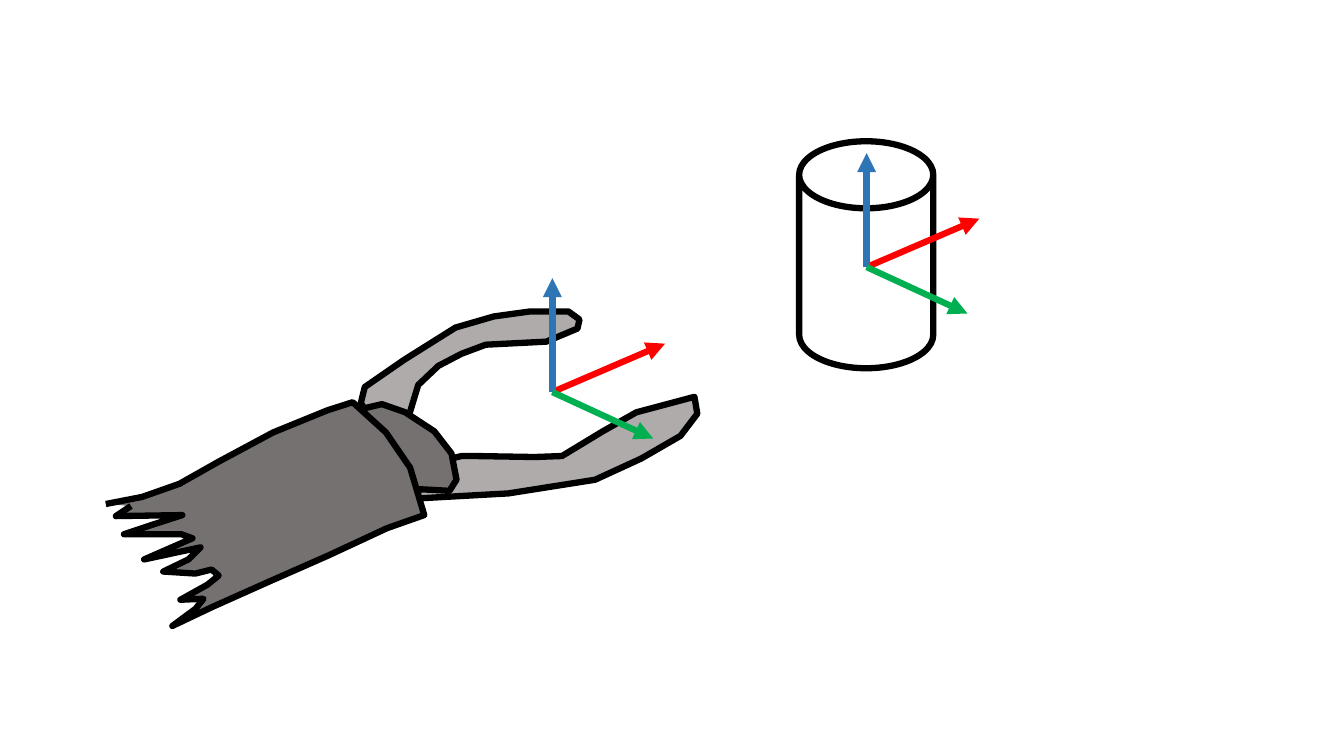
import pptx
import pptx.util
import pptx.dml.color
import pptx.enum.shapes
import pptx.oxml
import pptx.oxml.ns

Cm = pptx.util.Cm
COLORS = {
    "outline": "000000", "can": "FFFFFF", "finger": "AFABAB", "arm": "767171",
    "x": "FF0000", "y": "00B050", "z": "2E75B6",
}
LINE_WIDTH = pptx.util.Pt(4.5)
UNIT = Cm(0.0254)  # outline points are hundredths of an inch


def paint(shape, fill):
    shape.shadow.inherit = False
    shape.fill.solid()
    shape.fill.fore_color.rgb = pptx.dml.color.RGBColor.from_string(COLORS[fill])
    shape.line.color.rgb = pptx.dml.color.RGBColor.from_string(COLORS["outline"])
    shape.line.width = LINE_WIDTH


def draw_outline(points, fill, close):
    builder = slide.shapes.build_freeform(*points[0], scale=UNIT)
    builder.add_line_segments(points[1:], close=close)
    shape = builder.convert_to_shape()
    paint(shape, fill)
    return shape


deck = pptx.Presentation()
deck.slide_width, deck.slide_height = Cm(33.87), Cm(19.05)
slide = deck.slides.add_slide(deck.slide_layouts[6])

# Outlines of the gripper
upper_finger = [
    (386, 439), (358, 400), (362, 384), (401, 357), (452, 325), (490, 314),
    (526, 309), (564, 309), (575, 317), (573, 326), (542, 339), (482, 342),
    (458, 351), (435, 363), (415, 382), (405, 415), (390, 445),
]
lower_finger = [
    (409, 479), (500, 484), (587, 480), (635, 464), (676, 446), (695, 426),
    (694, 409), (635, 418), (600, 433), (557, 453), (530, 451), (475, 444),
    (458, 442), (428, 446), (419, 454),
]
palm = [
    (431, 428), (402, 409), (379, 401), (362, 405), (357, 439), (380, 472),
    (409, 485), (446, 487), (453, 476), (448, 450),
]
sleeve = [
    (105, 500), (141, 493), (178, 480), (217, 458), (271, 429), (325, 407),
    (350, 399), (383, 429), (407, 464), (421, 511), (384, 524), (326, 551),
    (267, 577), (211, 602), (171, 621), (194, 604), (202, 594), (179, 595),
    (206, 580), (217, 571), (210, 565), (194, 569), (162, 567), (187, 555),
    (199, 543), (143, 555), (191, 534), (180, 530), (123, 530), (150, 521),
    (181, 511), (115, 512), (130, 502),
]

# Gripper and target can, from back to front
draw_outline(upper_finger, "finger", False)

can = slide.shapes.add_shape(pptx.enum.shapes.MSO_SHAPE.CAN,
                             Cm(20.14), Cm(3.56), Cm(3.38), Cm(5.72))
can.adjustments[0] = 0.5
paint(can, "can")

draw_outline(lower_finger, "finger", True).rotation = -6.3
draw_outline(palm, "arm", True)
draw_outline(sleeve, "arm", False)

# Coordinate frames of the can and the gripper
axis_vectors = {"x": (2.84, -1.22), "z": (0, -2.87), "y": (2.54, 1.17)}
for origin_x, origin_y in [(21.84, 6.73), (13.92, 9.88)]:
    frame = slide.shapes.add_group_shape()
    for axis, (reach_x, reach_y) in axis_vectors.items():
        arrow = frame.shapes.add_connector(
            pptx.enum.shapes.MSO_CONNECTOR.STRAIGHT, Cm(origin_x), Cm(origin_y),
            Cm(origin_x + reach_x), Cm(origin_y + reach_y))
        arrow.line.color.rgb = pptx.dml.color.RGBColor.from_string(COLORS[axis])
        arrow.line.width = LINE_WIDTH
        head = pptx.oxml.parse_xml(
            f'<a:tailEnd {pptx.oxml.ns.nsdecls("a")} type="triangle"/>')
        arrow.line._get_or_add_ln().append(head)
        no_shadow = pptx.oxml.parse_xml(f'<a:effectLst {pptx.oxml.ns.nsdecls("a")}/>')
        arrow._element.spPr.append(no_shadow)

deck.save("out.pptx")
